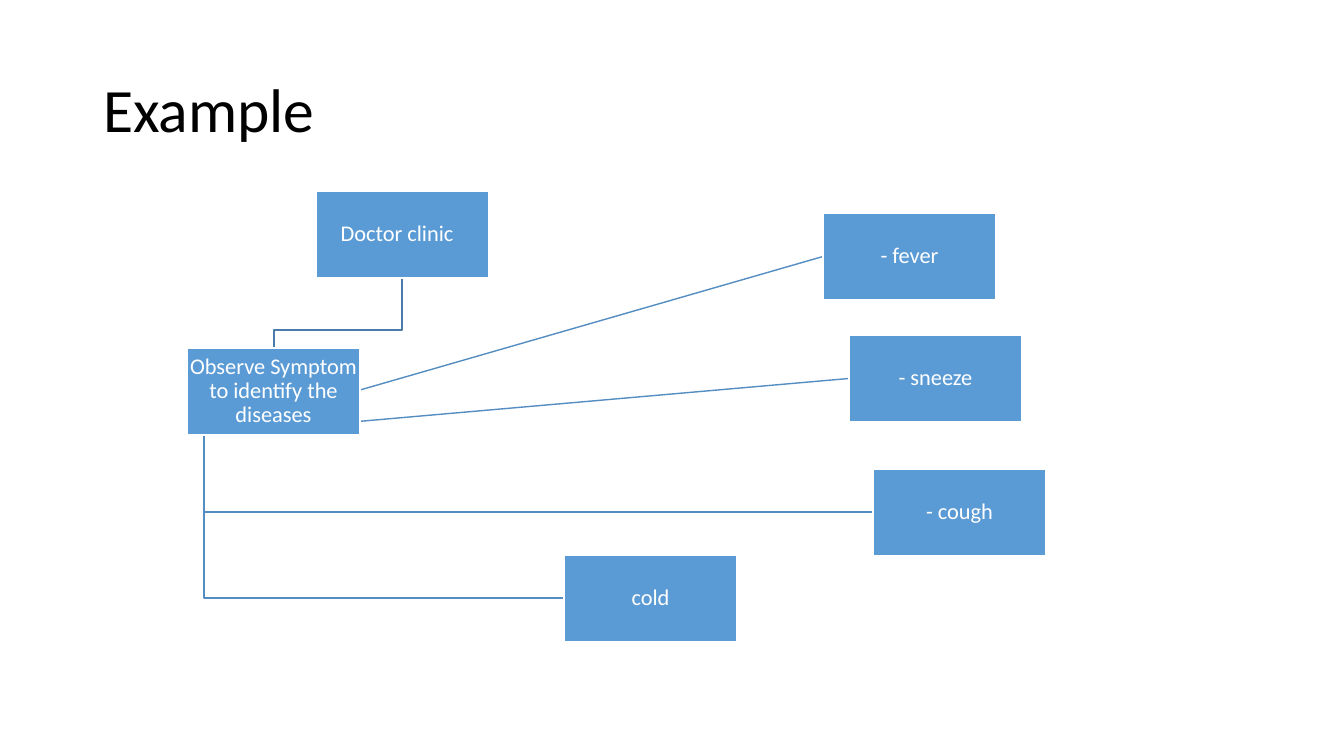
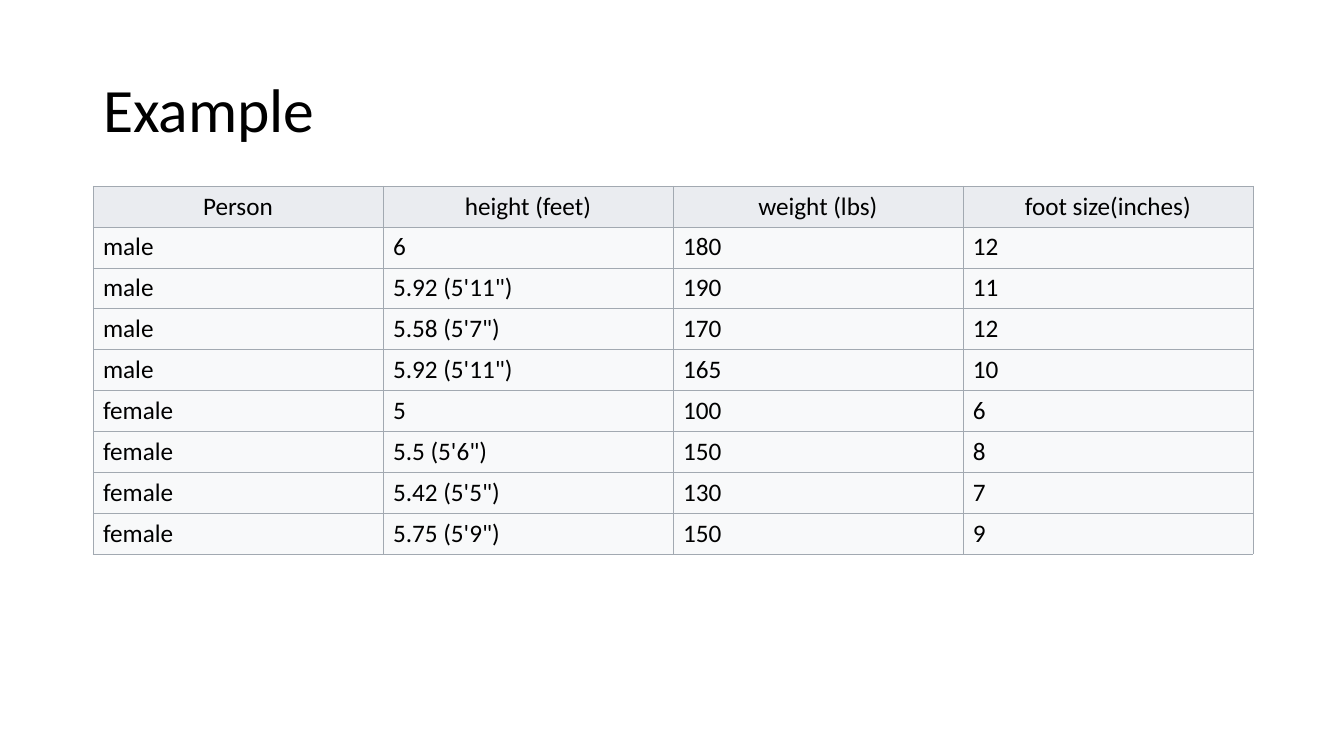
from lxml.etree import SubElement
from pptx import Presentation
from pptx.dml.color import RGBColor
from pptx.enum.shapes import MSO_CONNECTOR, MSO_SHAPE
from pptx.enum.text import MSO_ANCHOR, MSO_AUTO_SIZE, PP_ALIGN
from pptx.oxml.ns import qn
from pptx.util import Pt

# Shared measures and style
SCALE = 914400 / 100.8
WIDTH, HEIGHT = 1344, 756
FONT = "Calibri"
BLACK, WHITE = "000000", "FFFFFF"
BOX_FILL = "5B9BD5"
BRANCH_LINE, TRUNK_LINE = "538DC1", "497CAB"
HEADER_FILL, BODY_FILL, BORDER = "EAECF0", "F8F9FA", "A2A9B1"
TITLE_AREA = (93, 40, 1159, 146)
BOX_WIDTH, BOX_HEIGHT = 173, 87
ROW_HEIGHT = 40

CLINIC = (316, 191)
OBSERVE = (187, 348)
SYMPTOMS = [
    ("- fever", 823, 213, False),
    ("- sneeze", 849, 335, False),
    ("- cough", 873, 469, True),
    ("cold", 564, 555, True),
]
MEASUREMENTS = [
    ("Person", "height (feet)", "weight (lbs)", "foot size(inches)"),
    ("male", "6", "180", "12"),
    ("male", "5.92 (5'11\")", "190", "11"),
    ("male", "5.58 (5'7\")", "170", "12"),
    ("male", "5.92 (5'11\")", "165", "10"),
    ("female", "5", "100", "6"),
    ("female", "5.5 (5'6\")", "150", "8"),
    ("female", "5.42 (5'5\")", "130", "7"),
    ("female", "5.75 (5'9\")", "150", "9"),
]


def px(*lengths):
    return [round(length * SCALE) for length in lengths]


def color(hex_code):
    return RGBColor.from_string(hex_code)


def format_text(frame, size, hex_code, align, spacing=None):
    for para in frame.paragraphs:
        para.alignment = align
        para.line_spacing = spacing
        for span in para.runs:
            span.font.name = FONT
            span.font.size = Pt(size)
            span.font.color.rgb = color(hex_code)


def add_page(deck, heading):
    page = deck.slides.add_slide(deck.slide_layouts[5])
    title = page.shapes.title
    title.left, title.top, title.width, title.height = px(*TITLE_AREA)
    frame = title.text_frame
    frame.text = heading
    frame.vertical_anchor = MSO_ANCHOR.MIDDLE
    frame.auto_size = MSO_AUTO_SIZE.NONE
    format_text(frame, 44, BLACK, PP_ALIGN.LEFT, 0.9)
    return page


def add_box(page, text, left, top, right_inset=1):
    box = page.shapes.add_shape(MSO_SHAPE.RECTANGLE, *px(left, top, BOX_WIDTH, BOX_HEIGHT))
    box.shadow.inherit = False
    box.fill.solid()
    box.fill.fore_color.rgb = color(BOX_FILL)
    box.line.color.rgb = color(WHITE)
    box.line.width = Pt(1)
    frame = box.text_frame
    frame.text = text
    frame.word_wrap = True
    frame.vertical_anchor = MSO_ANCHOR.MIDDLE
    frame.margin_left, frame.margin_top, frame.margin_right, frame.margin_bottom = px(
        1, 1, right_inset, 1)
    format_text(frame, 16, WHITE, PP_ALIGN.CENTER, 0.9)


def add_line(page, points, hex_code):
    """Join two points with a connector, more points with an open outline."""
    if len(points) == 2:
        line = page.shapes.add_connector(MSO_CONNECTOR.STRAIGHT, *px(*points[0], *points[1]))
        SubElement(line._element.spPr, qn("a:effectLst"))
    else:
        builder = page.shapes.build_freeform(*points[0], scale=SCALE)
        builder.add_line_segments(points[1:], close=False)
        line = builder.convert_to_shape()
        line.shadow.inherit = False
        line.fill.background()
    line.line.color.rgb = color(hex_code)
    line.line.width = Pt(1)


def add_borders(cell):
    properties = cell._tc.get_or_add_tcPr()
    for side in ("lnL", "lnR", "lnT", "lnB"):
        edge = SubElement(properties, qn(f"a:{side}"), w=str(Pt(0.38)))
        fill = SubElement(edge, qn("a:solidFill"))
        SubElement(fill, qn("a:srgbClr"), val=BORDER)


def add_grid(page, rows, left, top, column_width):
    columns = len(rows[0])
    table = page.shapes.add_table(
        len(rows), columns,
        *px(left, top, column_width * columns, ROW_HEIGHT * len(rows))).table
    table.first_row = table.horz_banding = False
    for row_index, row in enumerate(rows):
        header = row_index == 0
        for column_index, text in enumerate(row):
            cell = table.cell(row_index, column_index)
            cell.text = text
            cell.vertical_anchor = MSO_ANCHOR.MIDDLE
            add_borders(cell)
            cell.fill.solid()
            cell.fill.fore_color.rgb = color(HEADER_FILL if header else BODY_FILL)
            format_text(cell.text_frame, 18, BLACK,
                        PP_ALIGN.CENTER if header else PP_ALIGN.LEFT)


def build_diagnosis(deck):
    page = add_page(deck, "Example")
    # Lines go behind the boxes
    branch = (OBSERVE[0] + 17, OBSERVE[1] + BOX_HEIGHT)
    for _, left, top, bent in reversed(SYMPTOMS):
        end = (left, top + BOX_HEIGHT / 2)
        corner = [(branch[0], end[1])] if bent else []
        add_line(page, [branch, *corner, end], BRANCH_LINE)
    clinic_x, observe_x = CLINIC[0] + BOX_WIDTH / 2, OBSERVE[0] + BOX_WIDTH / 2
    bend = OBSERVE[1] - 18
    add_line(page, [(clinic_x, CLINIC[1] + BOX_HEIGHT), (clinic_x, bend),
                    (observe_x, bend), (observe_x, OBSERVE[1])], TRUNK_LINE)
    # Boxes
    add_box(page, "Doctor clinic", *CLINIC, right_inset=12)
    add_box(page, "Observe Symptom to identify the diseases", *OBSERVE)
    for text, left, top, _ in SYMPTOMS:
        add_box(page, text, left, top)


def build_measurements(deck):
    page = add_page(deck, "Example")
    add_grid(page, MEASUREMENTS, 93, 186, 290)


def main():
    deck = Presentation()
    deck.slide_width, deck.slide_height = px(WIDTH, HEIGHT)
    build_diagnosis(deck)
    build_measurements(deck)
    deck.save("out.pptx")


main()
